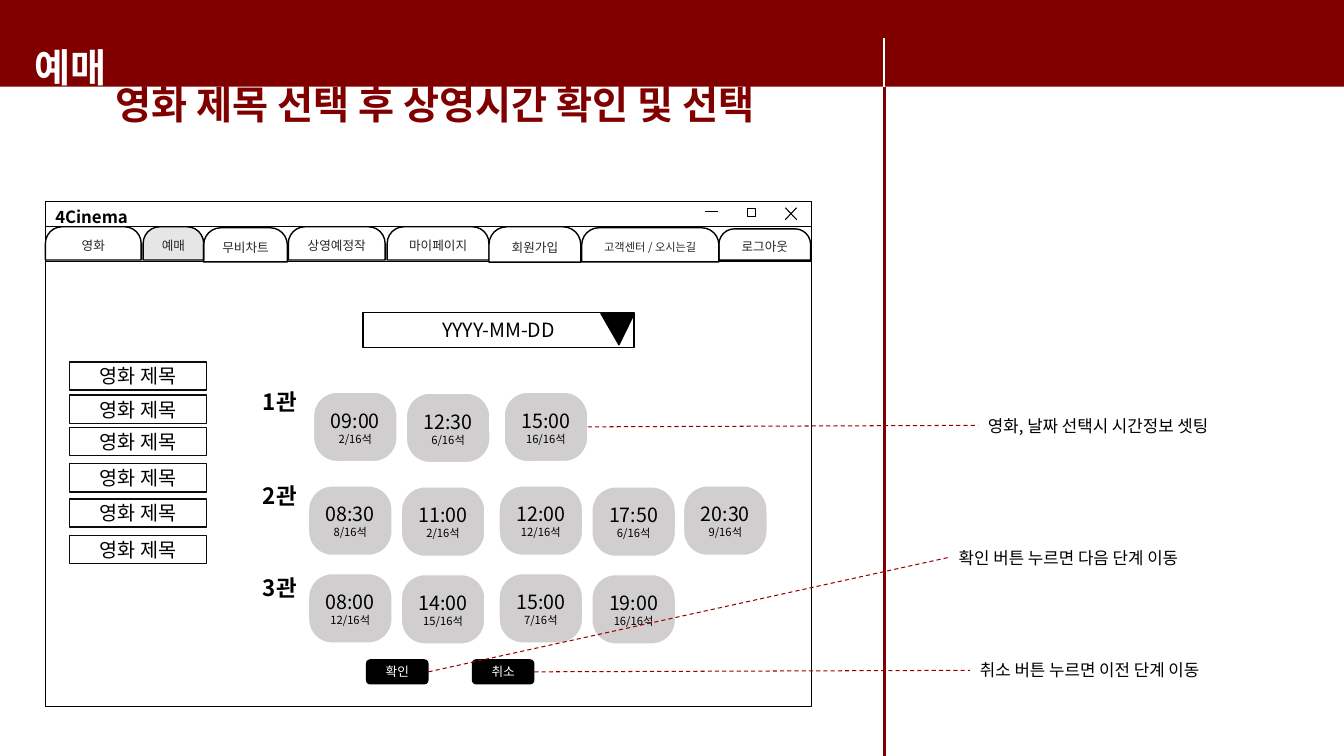
from lxml import etree
from pptx import Presentation, util as u
from pptx.dml.color import RGBColor
from pptx.enum import dml, shapes, text
from pptx.oxml.ns import qn

WIDTH, HEIGHT = 13.33, 7.5
DIVIDER_X = 8.77
HEADER_HEIGHT = 0.86
FONT = "Noto Sans CJK KR"
BLACK, WHITE, MAROON, NOTE_RED = "000000", "FFFFFF", "800000", "980000"
TAB_TEXT, TAB_ACTIVE, PILL_GREY, MENU_LINE = "262626", "E7E6E6", "D0CECE", "0C0C0C"
KIND = shapes.MSO_SHAPE

# label, offset from the window, top offset, width, height
TABS = [("영화", 0, 0, 0.95, 0.33), ("예매", 0.97, 0, 0.6, 0.33),
        ("무비차트", 1.57, 0.01, 0.83, 0.34), ("상영예정작", 2.41, 0, 0.96, 0.33),
        ("마이페이지", 3.39, 0, 1.01, 0.33), ("회원가입", 4.4, 0, 0.91, 0.35),
        ("고객센터 / 오시는길", 5.32, 0.01, 1.36, 0.34),
        ("로그아웃", 6.68, 0.02, 0.91, 0.31)]
# hall, label top, pill top, pill shift, showings
HALLS = [("1관", 0, 0.14, 0.05, ["09:00 2/16석", "12:30 6/16석", "15:00 16/16석"]),
         ("2관", 0.93, 1.07, 0, ["08:30 8/16석", "11:00 2/16석", "12:00 12/16석",
                                "17:50 6/16석", "20:30 9/16석"]),
         ("3관", 1.84, 1.94, 0, ["08:00 12/16석", "14:00 15/16석", "15:00 7/16석",
                                "19:00 16/16석"])]
PILL_COLUMNS = [0.67, 1.59, 2.56, 3.48, 4.39]
MENU_TOPS = [0, 0.33, 0.65, 1.01, 1.36, 1.72]


def color(value):
    return RGBColor.from_string(value)


def write(shape, lines, sizes, ink, bold=False, align=text.PP_ALIGN.CENTER,
          anchor=text.MSO_ANCHOR.MIDDLE):
    """Fill a shape with one paragraph per line, each in its own size."""
    frame = shape.text_frame
    frame.text = "\n".join(lines)
    frame.word_wrap = True
    frame.vertical_anchor = anchor
    for paragraph, size in zip(frame.paragraphs, sizes):
        paragraph.alignment = align
        for run in paragraph.runs:
            run.font.size = u.Pt(size)
            run.font.bold = bold
            run.font.name = FONT
            run.font.color.rgb = color(ink)
            etree.SubElement(run.font._element, qn("a:ea"), typeface=FONT)


def add_box(slide, kind, box, fill=None, line=None, weight=1, adjust=()):
    shape = slide.shapes.add_shape(kind, *map(u.Inches, box))
    shape.shadow.inherit = False
    for index, value in enumerate(adjust):
        shape.adjustments[index] = value
    if fill:
        shape.fill.solid()
        shape.fill.fore_color.rgb = color(fill)
    else:
        shape.fill.background()
    if line:
        shape.line.color.rgb = color(line)
        shape.line.width = u.Pt(weight)
    else:
        shape.line.fill.background()
    return shape


def add_label(slide, box, words, size, ink, bold=False, align=text.PP_ALIGN.LEFT,
              anchor=text.MSO_ANCHOR.TOP):
    label = slide.shapes.add_textbox(*map(u.Inches, box))
    write(label, [words], [size], ink, bold, align, anchor)
    return label


def add_line(slide, start, end, ink, weight):
    line = slide.shapes.add_connector(shapes.MSO_CONNECTOR.STRAIGHT,
                                      *map(u.Inches, start + end))
    line.line.color.rgb = color(ink)
    line.line.width = u.Pt(weight)
    etree.SubElement(line._element.spPr, qn("a:effectLst"))
    return line


def draw_header(slide, box):
    left, top, width, height = box
    add_box(slide, KIND.RECTANGLE, box, MAROON)
    add_label(slide, (left + 0.24, top + 0.38, 3.96, 0.57), "예매", 28, WHITE, True)
    add_line(slide, (DIVIDER_X, top + 0.38), (DIVIDER_X, top + 0.95), WHITE, 1.5)
    add_label(slide, (left + 1.05, top + 0.75, 7.52, 0.57),
              "영화 제목 선택 후 상영시간 확인 및 선택", 28, MAROON, True)
    add_line(slide, (DIVIDER_X, top + height), (DIVIDER_X, HEIGHT), MAROON, 2.25)


def draw_window(slide, box):
    """Draw the window frame with its title bar and window buttons."""
    left, top, width, height = box
    right = left + width
    add_box(slide, KIND.RECTANGLE, box, line=BLACK)
    for offset, weight in ((0.25, 1), (0.59, 0.75)):
        add_line(slide, (left, top + offset), (right, top + offset), BLACK, weight)
    add_label(slide, (left, top, 1.23, 0.3), "4Cinema", 12, BLACK, True)
    add_line(slide, (right - 1.06, top + 0.1), (right - 0.93, top + 0.1), BLACK, 0.75)
    add_box(slide, KIND.RECTANGLE, (right - 0.64, top + 0.07, 0.08, 0.08),
            line=BLACK, weight=0.75)
    add_box(slide, KIND.MATH_MULTIPLY, (right - 0.31, top + 0.01, 0.21, 0.22),
            "4472C4", BLACK, 0.75, [0])


def draw_tabs(slide, left, top):
    for label, across, down, width, height in TABS:
        fill = {"예매": TAB_ACTIVE, "회원가입": WHITE}.get(label)
        tab = add_box(slide, KIND.ROUND_2_SAME_RECTANGLE,
                      (left + across, top + down, width, height), fill, BLACK,
                      adjust=[0.5, 0])
        write(tab, [label], [8 if "/" in label else 9], TAB_TEXT)


def draw_halls(slide, left, top):
    """Draw each hall with its showings; return the last pill of each hall."""
    last_pills = []
    for hall, label_top, pill_top, shift, showings in HALLS:
        add_label(slide, (left, top + label_top, 0.77, 0.47), hall, 16, BLACK, True,
                  text.PP_ALIGN.CENTER, text.MSO_ANCHOR.MIDDLE)
        for index, showing in enumerate(showings):
            box = (left + PILL_COLUMNS[index] + shift,
                   top + pill_top + 0.01 * (index % 2), 0.83, 0.69)
            pill = add_box(slide, KIND.ROUNDED_RECTANGLE, box, PILL_GREY, WHITE,
                           adjust=[0.34])
            write(pill, showing.split(), [14, 8], BLACK)
        last_pills.append(pill)
    return last_pills


def draw_movie_menu(slide, left, top):
    for offset in MENU_TOPS:
        entry = add_box(slide, KIND.RECTANGLE, (left, top + offset, 1.36, 0.28),
                        WHITE, MENU_LINE)
        write(entry, ["영화 제목"], [14], BLACK)


def draw_date_picker(slide, box):
    left, top, width, height = box
    field = add_box(slide, KIND.RECTANGLE, box, WHITE, BLACK)
    write(field, ["YYYY-MM-DD"], [14], BLACK)
    arrow = add_box(slide, KIND.ISOSCELES_TRIANGLE,
                    (left + width - 0.33, top + 0.01, 0.33, 0.31), BLACK, BLACK,
                    adjust=[0.46])
    arrow.rotation = 180


def draw_button(slide, left, top, label):
    button = add_box(slide, KIND.ROUNDED_RECTANGLE, (left, top, 0.62, 0.25), BLACK)
    write(button, [label], [9], WHITE)
    return button


def draw_note(slide, box, words, target):
    """Place a note and join it by a dashed line to the part it explains."""
    note = add_label(slide, box, words, 12, BLACK)
    frame = note.text_frame
    frame.margin_top = frame.margin_bottom = u.Inches(0.1)
    line = add_line(slide, (0, 0), (1, 1), NOTE_RED, 0.75)
    line.line.dash_style = dml.MSO_LINE.DASH
    line.begin_connect(target, 3)
    line.end_connect(note, 1)


def main():
    presentation = Presentation()
    presentation.slide_width = u.Inches(WIDTH)
    presentation.slide_height = u.Inches(HEIGHT)
    slide = presentation.slides.add_slide(presentation.slide_layouts[6])

    left, top = 0.45, 2
    draw_header(slide, (0, 0, WIDTH, HEADER_HEIGHT))
    draw_window(slide, (left, top, 7.6, 5.01))
    draw_tabs(slide, left, top + 0.25)
    last_pills = draw_halls(slide, left + 1.94, top + 1.75)
    draw_movie_menu(slide, left + 0.24, top + 1.59)
    draw_date_picker(slide, (left + 3.15, top + 1.1, 2.69, 0.35))
    confirm = draw_button(slide, left + 3.18, top + 4.54, "확인")
    cancel = draw_button(slide, left + 4.23, top + 4.54, "취소")

    draw_note(slide, (9.7, 4.02, 3.16, 0.4), "영화, 날짜 선택시 시간정보 셋팅", last_pills[0])
    draw_note(slide, (9.41, 5.33, 2.69, 0.4), "확인 버튼 누르면 다음 단계 이동", confirm)
    draw_note(slide, (9.62, 6.45, 2.88, 0.4), "취소 버튼 누르면 이전 단계 이동", cancel)
    presentation.save("out.pptx")


if __name__ == "__main__":
    main()
